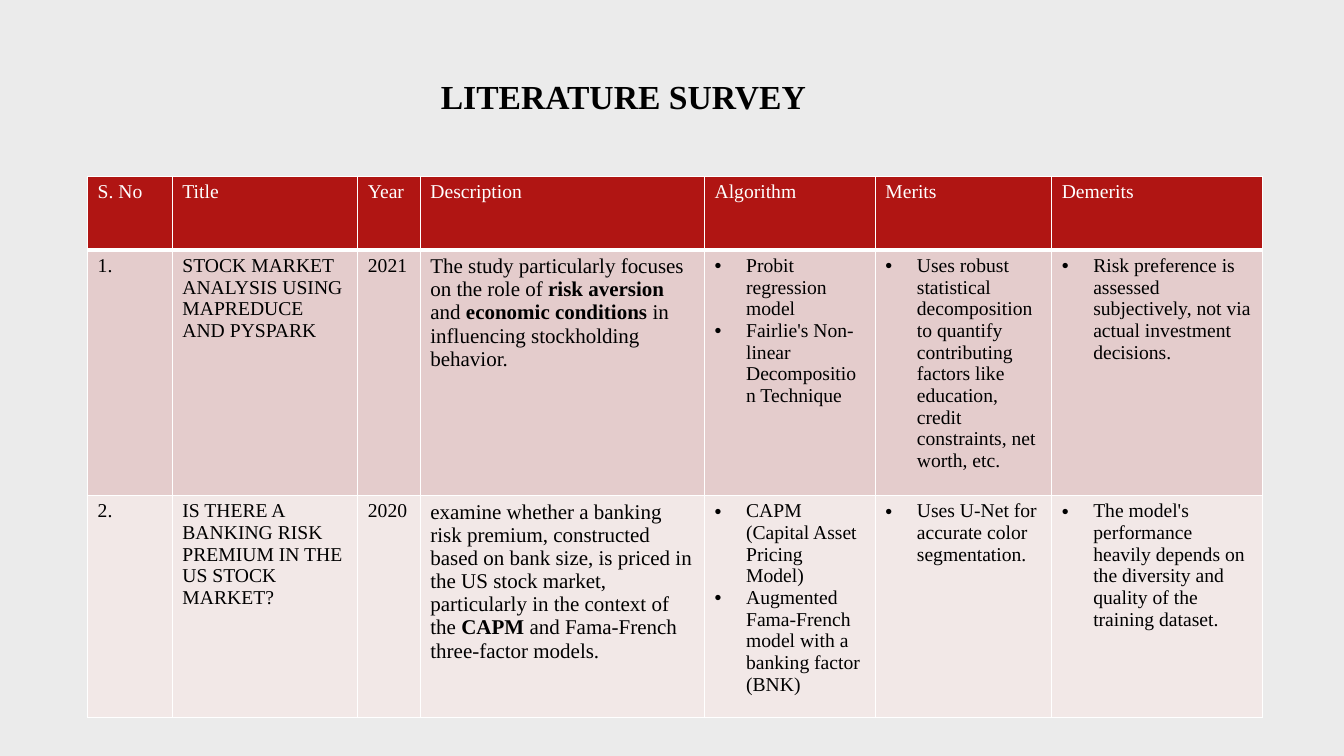
from dataclasses import dataclass

import pptx
import pptx.dml.color
import pptx.enum.text
import pptx.oxml
import pptx.oxml.ns
import pptx.util
from pptx.util import Pt

COLORS = {
    "background": "EBEBEB",
    "header": "B01513",
    "odd_row": "E4CCCC",
    "even_row": "F2E8E7",
    "border": "FFFFFF",
    "light_text": "FFFFFF",
    "dark_text": "000000",
}
FONT = "Times New Roman"
BULLET_INDENT = Pt(22.5)


@dataclass(frozen=True)
class Column:
    heading: str
    width: float
    size: float = 14
    bulleted: bool = False


@dataclass(frozen=True)
class Row:
    cells: list[list[str]]
    height: float
    fill: str
    text_color: str = "dark_text"
    bottom_border: float = 1
    is_header: bool = False


COLUMNS = [
    Column("S. No", 60.5),
    Column("Title", 132.5),
    Column("Year", 44.7),
    Column("Description", 203, size=15),
    Column("Algorithm", 122, bulleted=True),
    Column("Merits", 126, bulleted=True),
    Column("Demerits", 150.5, bulleted=True),
]

# Text between double asterisks is bold.
ROWS = [
    Row([[column.heading] for column in COLUMNS], 52.5, "header", "light_text",
        bottom_border=3, is_header=True),
    Row([
        ["1."],
        ["STOCK MARKET ANALYSIS USING MAPREDUCE AND PYSPARK"],
        ["2021"],
        ["The study particularly focuses on the role of **risk aversion** and "
         "**economic conditions** in influencing stockholding behavior."],
        ["Probit regression model", "Fairlie's Non-linear Decomposition Technique"],
        ["Uses robust statistical decomposition to quantify contributing factors "
         "like education, credit constraints, net worth, etc."],
        ["Risk preference is assessed subjectively, not via actual investment decisions."],
    ], 144.5, "odd_row"),
    Row([
        ["2."],
        ["IS THERE A BANKING RISK PREMIUM IN THE US STOCK MARKET?"],
        ["2020"],
        ["examine whether a banking risk premium, constructed based on bank size, "
         "is priced in the US stock market, particularly in the context of the "
         "**CAPM** and Fama-French three-factor models."],
        ["CAPM (Capital Asset Pricing Model)",
         "Augmented Fama-French model with a banking factor (BNK)"],
        ["Uses U-Net for accurate color segmentation."],
        ["The model's performance heavily depends on the diversity and quality of "
         "the training dataset."],
    ], 144.5, "even_row"),
]


def rgb(name: str) -> pptx.dml.color.RGBColor:
    return pptx.dml.color.RGBColor.from_string(COLORS[name])


def add_run(paragraph, text: str, size: float, color: str, bold: bool) -> None:
    run = paragraph.add_run()
    run.text = text
    formats = {"name": FONT, "size": Pt(size), "bold": bold}
    for attribute, value in formats.items():
        setattr(run.font, attribute, value)
    run.font.color.rgb = rgb(color)


def add_bullet(paragraph) -> None:
    properties = paragraph._p.get_or_add_pPr()
    properties.set("marL", str(BULLET_INDENT))
    properties.set("indent", str(-BULLET_INDENT))
    namespace = pptx.oxml.ns.nsdecls("a")
    for markup in (
        f'<a:buClr {namespace}><a:srgbClr val="{COLORS["dark_text"]}"/></a:buClr>',
        f'<a:buFont {namespace} typeface="Arial"/>',
        f'<a:buChar {namespace} char="•"/>',
    ):
        properties.append(pptx.oxml.parse_xml(markup))


def set_borders(cell, bottom: float) -> None:
    """Put the four border lines ahead of the cell fill, as the schema requires."""
    properties = cell._tc.get_or_add_tcPr()
    widths = {"lnL": 1, "lnR": 1, "lnT": 1, "lnB": bottom}
    for position, (tag, width) in enumerate(widths.items()):
        line = pptx.oxml.parse_xml(
            f'<a:{tag} {pptx.oxml.ns.nsdecls("a")} w="{Pt(width)}"><a:solidFill>'
            f'<a:srgbClr val="{COLORS["border"]}"/></a:solidFill></a:{tag}>'
        )
        properties.insert(position, line)


def fill_cell(cell, texts: list[str], row: Row, column: Column) -> None:
    cell.fill.solid()
    cell.fill.fore_color.rgb = rgb(row.fill)
    set_borders(cell, row.bottom_border)
    size = 14 if row.is_header else column.size
    for index, text in enumerate(texts):
        frame = cell.text_frame
        paragraph = frame.add_paragraph() if index else frame.paragraphs[0]
        if column.bulleted and not row.is_header:
            add_bullet(paragraph)
        for part, words in enumerate(text.split("**")):
            add_run(paragraph, words, size, row.text_color, bold=part % 2 == 1)


def add_title(slide) -> None:
    title = slide.shapes.add_textbox(Pt(108), Pt(13), Pt(674.6), Pt(73.4))
    frame = title.text_frame
    formats = {"word_wrap": True, "vertical_anchor": pptx.enum.text.MSO_ANCHOR.BOTTOM}
    for attribute, value in formats.items():
        setattr(frame, attribute, value)
    paragraph = frame.paragraphs[0]
    paragraph.alignment = pptx.enum.text.PP_ALIGN.CENTER
    add_run(paragraph, "LITERATURE SURVEY", 24, "dark_text", bold=True)


def add_survey_table(slide) -> None:
    width = sum(column.width for column in COLUMNS)
    height = sum(row.height for row in ROWS)
    table = slide.shapes.add_table(
        len(ROWS), len(COLUMNS), Pt(62.6), Pt(126), Pt(width), Pt(height)
    ).table
    for attribute in ("first_row", "horz_banding"):
        setattr(table, attribute, False)
    for column_index, column in enumerate(COLUMNS):
        table.columns[column_index].width = Pt(column.width)
    for row_index, row in enumerate(ROWS):
        table.rows[row_index].height = Pt(row.height)
        for column_index, column in enumerate(COLUMNS):
            cell = table.cell(row_index, column_index)
            fill_cell(cell, row.cells[column_index], row, column)


def main() -> None:
    presentation = pptx.Presentation()
    presentation.slide_width, presentation.slide_height = Pt(960), Pt(540)
    slide = presentation.slides.add_slide(presentation.slide_layouts[6])
    slide.background.fill.solid()
    slide.background.fill.fore_color.rgb = rgb("background")
    add_title(slide)
    add_survey_table(slide)
    presentation.save("out.pptx")


if __name__ == "__main__":
    main()
